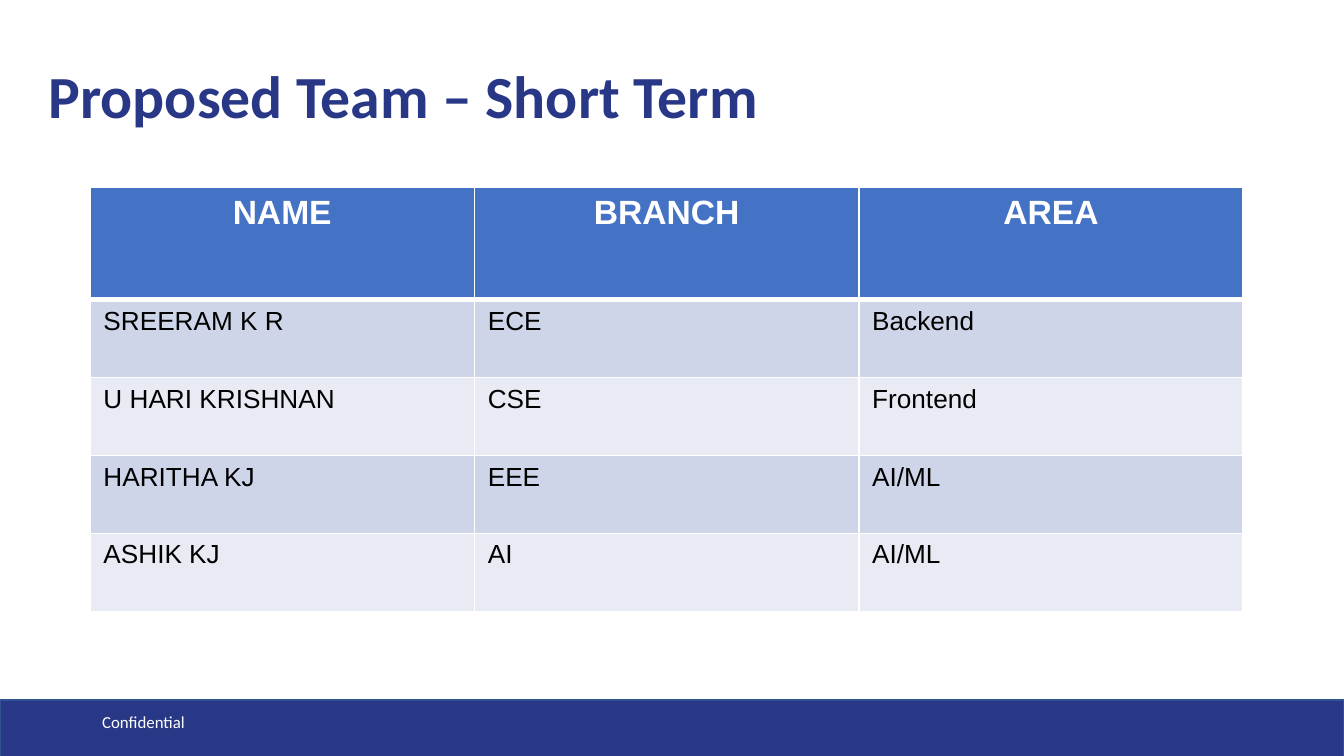
from dataclasses import dataclass

import lxml.etree
import pptx
import pptx.dml.color
import pptx.enum.shapes
import pptx.enum.text
import pptx.oxml.ns
import pptx.util

Inches = pptx.util.Inches
Pt = pptx.util.Pt
RGBColor = pptx.dml.color.RGBColor
qn = pptx.oxml.ns.qn

NAVY = RGBColor(0x28, 0x38, 0x86)
BAR_EDGE = RGBColor(0x31, 0x53, 0x8F)
HEADER_BLUE = RGBColor(0x44, 0x72, 0xC4)
BAND_DARK = RGBColor(0xCF, 0xD5, 0xE9)
BAND_LIGHT = RGBColor(0xE8, 0xEB, 0xF4)
WHITE = RGBColor(0xFF, 0xFF, 0xFF)
BLACK = RGBColor(0x00, 0x00, 0x00)

SLIDE_WIDTH = 10
SLIDE_HEIGHT = SLIDE_WIDTH * 9 / 16
HEADINGS = ("NAME", "BRANCH", "AREA")
COLUMN_WIDTH = 2.86
HEADER_HEIGHT, MEMBER_HEIGHT = 0.84, 0.58
THIN, THICK = 0.96, 3


@dataclass
class Member:
    name: str
    branch: str
    area: str


@dataclass
class Label:
    text: str
    left: float
    top: float
    width: float
    height: float
    size: float
    color: RGBColor
    bold: bool = False
    line_spacing: float = 1.0


@dataclass
class CellStyle:
    fill: RGBColor
    color: RGBColor
    size: float
    bold: bool = False
    align: pptx.enum.text.PP_ALIGN = pptx.enum.text.PP_ALIGN.LEFT
    bottom: float = THIN


MEMBERS = (
    Member("SREERAM K R", "ECE", "Backend"),
    Member("U HARI KRISHNAN", "CSE", "Frontend"),
    Member("HARITHA KJ", "EEE", "AI/ML"),
    Member("ASHIK KJ", "AI", "AI/ML"),
)
LABELS = (
    Label("Confidential", 0.69, 5.22, 3.37, 0.3, 9, WHITE),
    Label("Proposed Team – Short Term", 0.29, 0.42, 9.32, 0.63, 32, NAVY, True, 0.9),
)
HEADER = CellStyle(HEADER_BLUE, WHITE, 18, True, pptx.enum.text.PP_ALIGN.CENTER, THICK)
BANDS = (CellStyle(BAND_DARK, BLACK, 14), CellStyle(BAND_LIGHT, BLACK, 14))


def style_font(font, name: str, size: float, color: RGBColor, bold: bool) -> None:
    font.name = name
    font.size = Pt(size)
    font.color.rgb = color
    font.bold = bold


def add_footer_bar(s) -> None:
    sp = s.shapes.add_shape(pptx.enum.shapes.MSO_SHAPE.RECTANGLE,
                            Inches(0), Inches(5.21), Inches(SLIDE_WIDTH), Inches(0.56))
    sp.shadow.inherit = False
    sp.fill.solid()
    sp.fill.fore_color.rgb = NAVY
    sp.line.color.rgb = BAR_EDGE
    sp.line.width = Pt(1)


def add_label(s, label: Label) -> None:
    sp = s.shapes.add_textbox(Inches(label.left), Inches(label.top),
                              Inches(label.width), Inches(label.height))
    tf = sp.text_frame
    tf.word_wrap = True
    tf.vertical_anchor = pptx.enum.text.MSO_ANCHOR.MIDDLE
    tf.margin_left = tf.margin_right = Inches(0.07)
    tf.margin_top = tf.margin_bottom = Inches(0.04)
    p = tf.paragraphs[0]
    p.text = label.text
    p.line_spacing = label.line_spacing
    style_font(p.font, "Calibri", label.size, label.color, label.bold)


def add_borders(cell, top: float, bottom: float) -> None:
    """Draw white cell borders; call before filling, as lines precede fills in the XML."""
    tcPr = cell._tc.get_or_add_tcPr()
    for side, width in (("L", THIN), ("R", THIN), ("T", top), ("B", bottom)):
        ln = lxml.etree.SubElement(tcPr, qn(f"a:ln{side}"), w=str(Pt(width)))
        fill = lxml.etree.SubElement(ln, qn("a:solidFill"))
        lxml.etree.SubElement(fill, qn("a:srgbClr"), val=str(WHITE))


def fill_cell(cell, text: str, style: CellStyle, top: float) -> None:
    add_borders(cell, top, style.bottom)
    cell.fill.solid()
    cell.fill.fore_color.rgb = style.fill
    p = cell.text_frame.paragraphs[0]
    p.text = text
    p.alignment = style.align
    style_font(p.font, "Arial", style.size, style.color, style.bold)


def add_team_table(s) -> None:
    rows = [HEADINGS] + [(m.name, m.branch, m.area) for m in MEMBERS]
    heights = [HEADER_HEIGHT] + [MEMBER_HEIGHT] * len(MEMBERS)
    table = s.shapes.add_table(len(rows), len(HEADINGS), Inches(0.67), Inches(1.39),
                               Inches(COLUMN_WIDTH * len(HEADINGS)),
                               Inches(sum(heights))).table
    for column in table.columns:
        column.width = Inches(COLUMN_WIDTH)
    top = THIN
    for i, (texts, height) in enumerate(zip(rows, heights)):
        table.rows[i].height = Inches(height)
        style = BANDS[(i - 1) % 2] if i else HEADER
        for j, text in enumerate(texts):
            fill_cell(table.cell(i, j), text, style, top)
        top = style.bottom


def main() -> None:
    prs = pptx.Presentation()
    prs.slide_width, prs.slide_height = Inches(SLIDE_WIDTH), Inches(SLIDE_HEIGHT)
    s = prs.slides.add_slide(prs.slide_layouts[6])
    add_footer_bar(s)
    for label in LABELS:
        add_label(s, label)
    add_team_table(s)
    prs.save("out.pptx")


if __name__ == "__main__":
    main()
